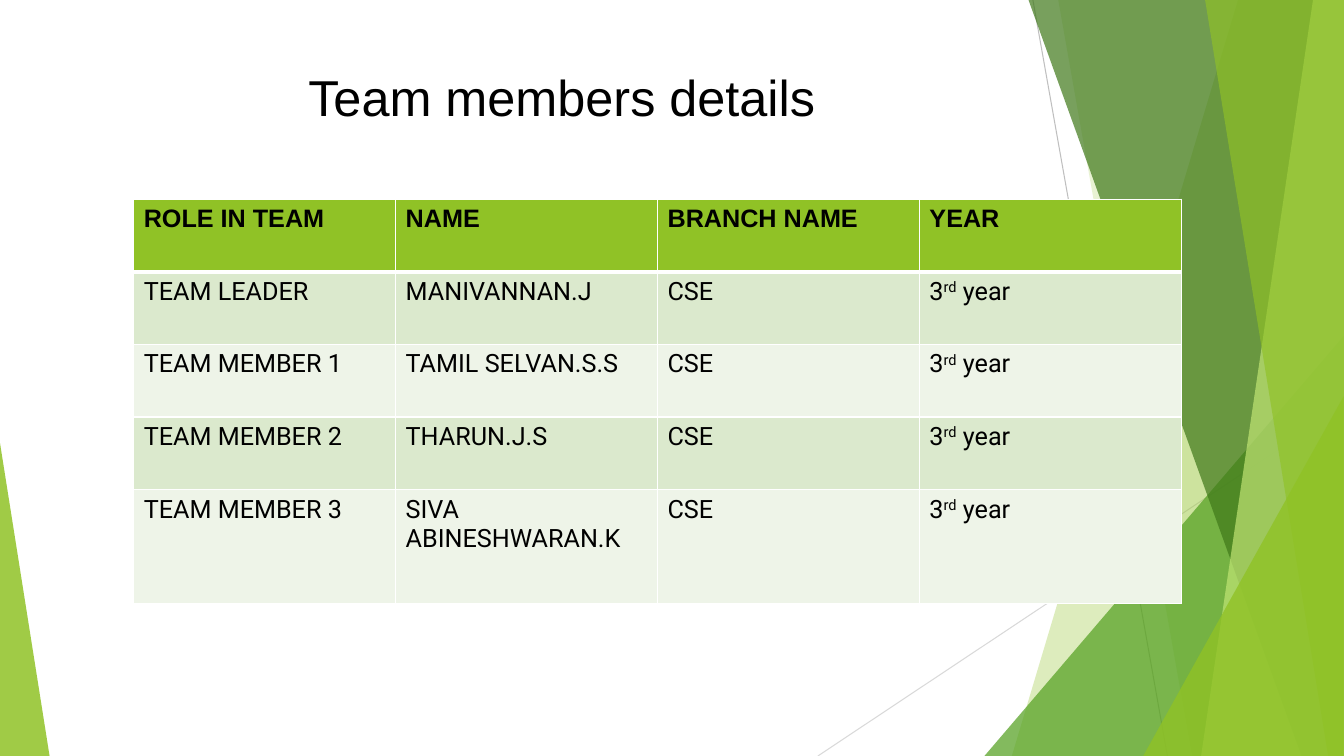
from lxml.etree import SubElement
from pptx import Presentation
from pptx.dml.color import RGBColor
from pptx.enum.shapes import MSO_CONNECTOR, MSO_SHAPE
from pptx.oxml.ns import qn
from pptx.util import Cm, Pt

COLORS = {
    "lime": "90C226", "green": "54A021", "forest": "3F7819", "pale": "C0E474",
    "band1": "DBE9CD", "band2": "EEF4E8", "white": "FFFFFF", "black": "000000",
    "line1": "BFBFBF", "line2": "D9D9D9",
}
WIDTH, HEIGHT = 33.87, 19.05

HEADER = ["ROLE IN TEAM", "NAME", "BRANCH NAME", "YEAR"]
MEMBERS = [
    ("TEAM LEADER", "MANIVANNAN.J"),
    ("TEAM MEMBER 1", "TAMIL SELVAN.S.S"),
    ("TEAM MEMBER 2", "THARUN.J.S"),
    ("TEAM MEMBER 3", "SIVA ABINESHWARAN.K"),
]


def rgb(name):
    return RGBColor.from_string(COLORS[name])


def paint(sp, color, opacity):
    """Flat fill with opacity in percent, no line, no shadow."""
    sp.shadow.inherit = False
    sp.line.fill.background()
    sp.fill.solid()
    sp.fill.fore_color.rgb = rgb(color)
    clr = sp.fill._xPr.find(qn("a:solidFill"))[0]
    SubElement(clr, qn("a:alpha"), val=str(opacity * 1000))


def add_line(slide, x1, y1, x2, y2, color):
    line = slide.shapes.add_connector(
        MSO_CONNECTOR.STRAIGHT, Cm(x1), Cm(y1), Cm(x2), Cm(y2))
    line.line.color.rgb = rgb(color)
    line.line.width = Pt(0.75)
    SubElement(line._element.spPr, qn("a:effectLst"))


def add_ribbon(slide, top_x, bottom_x, color, opacity):
    """Full-height area from a slanted left edge to the right slide edge."""
    fb = slide.shapes.build_freeform(Cm(top_x), 0)
    fb.add_line_segments([(Cm(WIDTH), 0), (Cm(WIDTH), Cm(HEIGHT)),
                          (Cm(bottom_x), Cm(HEIGHT))], close=True)
    paint(fb.convert_to_shape(), color, opacity)


def add_corner(slide, x, y, w, apex, color, opacity):
    """Triangle standing on the bottom slide edge."""
    sp = slide.shapes.add_shape(
        MSO_SHAPE.ISOSCELES_TRIANGLE, Cm(x), Cm(y), Cm(w), Cm(HEIGHT - y))
    sp.adjustments[0] = apex
    paint(sp, color, opacity)


def style_font(p, name, size, bold=False):
    p.font.name = name
    p.font.size = Pt(size)
    p.font.bold = bold
    p.font.color.rgb = rgb("black")


def set_borders(cell, bottom):
    tcPr = cell._tc.get_or_add_tcPr()
    widths = {"a:lnL": 1, "a:lnR": 1, "a:lnT": 1, "a:lnB": bottom}
    for i, (tag, width) in enumerate(widths.items()):
        ln = tcPr.makeelement(qn(tag), {"w": str(Pt(width))})
        fill = SubElement(ln, qn("a:solidFill"))
        SubElement(fill, qn("a:srgbClr"), val=COLORS["white"])
        tcPr.insert(i, ln)


def fill_cell(cell, runs, color, font, bold=False, bottom=1):
    """Write runs; the second run, if any, is superscript."""
    cell.fill.solid()
    cell.fill.fore_color.rgb = rgb(color)
    set_borders(cell, bottom)
    p = cell.text_frame.paragraphs[0]
    style_font(p, font, 18, bold)
    for i, text in enumerate(runs):
        r = p.add_run()
        r.text = text
        if i == 1:
            r.font._element.set("baseline", "30000")


def add_team_table(slide):
    heights = [1.83] * 4 + [2.86]
    table = slide.shapes.add_table(
        len(heights), len(HEADER), Cm(3.37), Cm(5.02),
        Cm(26.4), Cm(sum(heights))).table
    for col in table.columns:
        col.width = Cm(6.6)
    for row, height in zip(table.rows, heights):
        row.height = Cm(height)
    for c, text in enumerate(HEADER):
        fill_cell(table.cell(0, c), [text], "lime", "Arial", True, 3)
    for r, (role, name) in enumerate(MEMBERS, 1):
        band = "band1" if r % 2 else "band2"
        for c, runs in enumerate([[role], [name], ["CSE"], ["3", "rd", " year"]]):
            fill_cell(table.cell(r, c), runs, band, "Roboto")


def add_title(slide, text):
    tf = slide.shapes.add_textbox(Cm(7.52), Cm(1.55), Cm(15.82), Cm(1.8)).text_frame
    tf.word_wrap = True
    p = tf.paragraphs[0]
    p.text = text
    style_font(p, "Arial", 36)


def add_backdrop(slide):
    add_line(slide, 26.03, 0, 29.42, HEIGHT, "line1")
    add_line(slide, WIDTH, 10.23, 20.61, HEIGHT, "line2")
    add_ribbon(slide, 31.2, 25.5, "lime", 30)
    add_ribbon(slide, 26.67, 30.04, "lime", 20)
    add_corner(slide, 24.81, 8.47, 9.05, 1, "green", 72)
    add_ribbon(slide, 25.92, 32.8, "forest", 70)
    add_ribbon(slide, 33.09, 30.27, "pale", 70)
    add_ribbon(slide, 30.37, 33.47, "lime", 65)
    add_corner(slide, 28.81, 9.99, 5.05, 1, "lime", 80)
    add_corner(slide, 0, 11.16, 1.25, 0, "lime", 85)


def main():
    prs = Presentation()
    prs.slide_width, prs.slide_height = Cm(WIDTH), Cm(HEIGHT)
    slide = prs.slides.add_slide(prs.slide_layouts[6])
    add_backdrop(slide)
    add_team_table(slide)
    add_title(slide, "Team members details")
    prs.save("out.pptx")


main()
